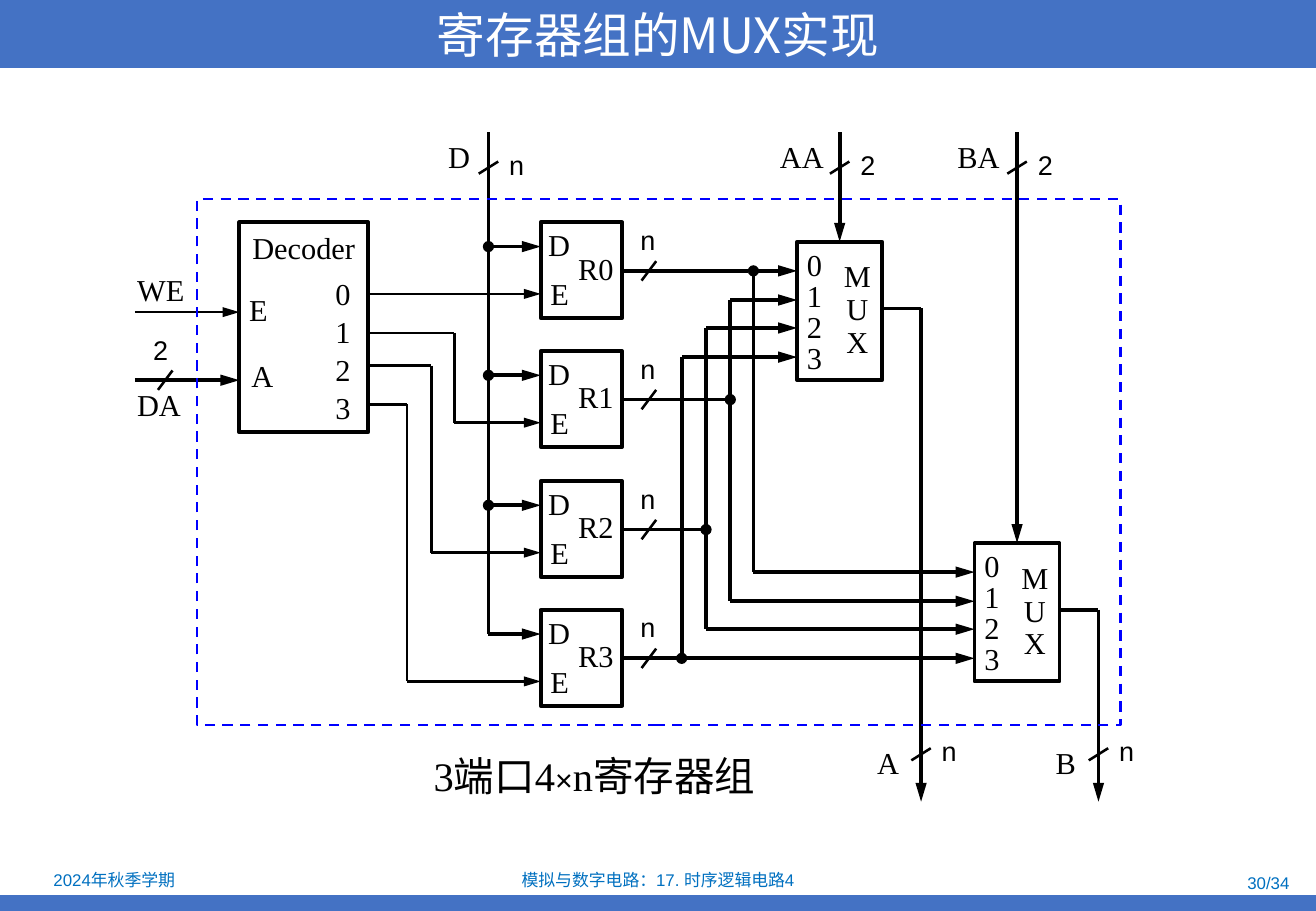
from lxml import etree
from pptx import Presentation, util as u
from pptx.dml.color import RGBColor
from pptx.enum import dml, shapes, text as t
from pptx.oxml.ns import qn

EMU_PER_PX = 9144  # 100 px to the inch
COLORS = {"bar": "4472C4", "footer": "0070C0", "ink": "000000",
          "paper": "FFFFFF", "boundary": "0000FF"}
SERIF, SANS, CJK = "Times New Roman", "Arial", "Noto Sans CJK SC"
LEFT, CENTER, RIGHT = t.PP_ALIGN.LEFT, t.PP_ALIGN.CENTER, t.PP_ALIGN.RIGHT
TOP, MIDDLE = t.MSO_ANCHOR.TOP, t.MSO_ANCHOR.MIDDLE


def px(value):
    return u.Emu(value * EMU_PER_PX)


def rgb(name):
    return RGBColor.from_string(COLORS[name])


def write(frame, text, size=18, font=SERIF, color="ink", align=LEFT, anchor=MIDDLE,
          spacing=1.0, insets=(0, 0, 0, 0), wrap=False):
    """Fill a frame; each line of text is a paragraph, a list holds (text, size, font) runs."""
    frame.auto_size = t.MSO_AUTO_SIZE.NONE
    frame.word_wrap = wrap
    frame.vertical_anchor = anchor
    (frame.margin_left, frame.margin_top,
     frame.margin_right, frame.margin_bottom) = map(px, insets)
    lines = [[(line, size, font)] for line in text.split("\n")] if isinstance(text, str) else [text]
    for index, runs in enumerate(lines):
        paragraph = frame.add_paragraph() if index else frame.paragraphs[0]
        paragraph.alignment = align
        paragraph.line_spacing = spacing
        for words, run_size, run_font in runs:
            run = paragraph.add_run()
            run.text = words
            run.font.size = u.Pt(run_size)
            run.font.name = run_font
            run.font.color.rgb = rgb(color)
            etree.SubElement(run.font._element, qn("a:ea"), typeface=CJK)


class Diagram:
    def __init__(self, presentation):
        self.slide = presentation.slides.add_slide(presentation.slide_layouts[5])

    def title(self, words, *box):
        shape = self.slide.shapes.title
        shape.left, shape.top, shape.width, shape.height = map(px, box)
        shape.fill.solid()
        shape.fill.fore_color.rgb = rgb("bar")
        write(shape.text_frame, words, size=28.8, font=CJK, color="paper",
              align=CENTER, wrap=True)

    def label(self, words, *box, **style):
        shape = self.slide.shapes.add_textbox(*map(px, box))
        write(shape.text_frame, words, **style)

    def signal(self, words, left, top, width):
        self.label(words, left, top, width, 40, insets=(10, 5, 10, 5), anchor=TOP)

    def bar(self, *box):
        shape = self.slide.shapes.add_shape(shapes.MSO_SHAPE.RECTANGLE, *map(px, box))
        shape.shadow.inherit = False
        shape.fill.solid()
        shape.fill.fore_color.rgb = rgb("bar")
        shape.line.fill.background()

    def block(self, words, *box, color="ink", weight=2.25, dashed=False, **style):
        shape = self.slide.shapes.add_shape(shapes.MSO_SHAPE.RECTANGLE, *map(px, box))
        shape.shadow.inherit = False
        shape.fill.background()
        shape.line.color.rgb = rgb(color)
        shape.line.width = u.Pt(weight)
        if dashed:
            shape.line.dash_style = dml.MSO_LINE.DASH
        if words:
            write(shape.text_frame, words, **style)

    def wire(self, *points, weight=2.25, head=None, tail=None):
        """Join the points with straight lines; head and tail mark the two ends."""
        last = len(points) - 2
        for index, (start, end) in enumerate(zip(points, points[1:])):
            line = self.slide.shapes.add_connector(
                shapes.MSO_CONNECTOR.STRAIGHT, *map(px, start + end))
            line.line.color.rgb = rgb("ink")
            line.line.width = u.Pt(weight)
            etree.SubElement(line._element.spPr, qn("a:effectLst"))
            outline = line.line._get_or_add_ln()
            for tag, kind, here in (("a:headEnd", head, index == 0),
                                    ("a:tailEnd", tail, index == last)):
                if kind and here:
                    length = "lg" if kind == "triangle" else "med"
                    etree.SubElement(outline, qn(tag), type=kind, w="med", len=length)

    def width_mark(self, words, x, y, left, top, reach=(8, 5)):
        """Slash across a bus at (x, y), with the bus width beside it."""
        dx, dy = reach
        self.wire((x + dx, y - dy), (x - dx, y + dy), weight=1.5)
        self.label(words, left, top, 12, 24, size=16, font=SANS, anchor=TOP, spacing=0.9)


def main():
    presentation = Presentation()
    presentation.slide_width, presentation.slide_height = px(1083), px(750)
    diagram = Diagram(presentation)

    # Title and footer
    diagram.title("寄存器组的MUX实现", 0, 0, 1083, 56)
    diagram.bar(0, 737, 1083, 13)
    for words, left, top, width, align in (
            ("2024年秋季学期", 2, 714, 184, CENTER),
            ("模拟与数字电路：17. 时序逻辑电路4", 370, 714, 343, CENTER),
            ("30/34", 818, 716, 253, RIGHT)):
        diagram.label(words, left, top, width, 21, size=10, font=SANS, color="footer",
                      align=align, insets=(10, 0, 10, 0), wrap=True)

    # Decoder with its inputs
    diagram.block("Decoder", 197, 183, 106, 173, align=CENTER, anchor=TOP, insets=(0, 6, 0, 0))
    diagram.label("0\n1\n2\n3", 276, 228, 12, 120, spacing=1.04)
    diagram.label("E", 205, 244, 15, 26, spacing=0.85)
    diagram.signal("A", 197, 289, 38)
    diagram.signal("WE", 103, 218, 59)
    diagram.signal("DA", 103, 313, 56)
    diagram.wire((111, 257), (197, 257), weight=1.5, tail="triangle")
    diagram.wire((111, 313), (197, 313), tail="triangle")
    diagram.width_mark("2", 136, 313, 126, 278, reach=(6, 8))

    # Multiplexers
    mux_a, mux_b = (656, 199), (802, 447)
    for left, top in (mux_a, mux_b):
        diagram.block("M\nU\nX", left, top, 70, 114, align=CENTER, spacing=0.9,
                      insets=(39, 0, 10, 0))
        diagram.label("0\n1\n2\n3", left + 8, top + 8, 12, 102, spacing=0.85)
        diagram.wire((left + 35, 109), (left + 35, top), tail="triangle")
        diagram.wire((left + 70, top + 55), (left + 102, top + 55), (left + 102, 660),
                     tail="triangle")

    # Registers, each wired to the decoder, the data bus and both multiplexers
    data_x, register_x = 402, 445
    enable_y = (242, 274, 301, 333)
    enable_x = (374, 374, 355, 335)
    bus_x = (620, 601, 581, 561)
    diagram.wire((data_x, 109), (data_x, 522))
    for i in range(4):
        top = round(183 + 106.4 * i)
        data, output, enable = top + 20, top + 40, top + 59
        diagram.block(f"R{i}", register_x, top, 67, 79, align=RIGHT, spacing=0.9,
                      insets=(0, 0, 7, 0))
        diagram.label("D", 451, top + 8, 18, 26, spacing=0.85)
        diagram.label("E", 453, top + 48, 15, 26, spacing=0.85)
        diagram.wire((data_x, data), (register_x, data),
                     head="oval" if i < 3 else None, tail="triangle")
        bend = [(enable_x[i], enable_y[i]), (enable_x[i], enable)] if i else []
        diagram.wire((304, enable_y[i]), *bend, (register_x, enable),
                     weight=1.5, tail="triangle")
        diagram.wire((512, output), (bus_x[i], output), tail="oval")
        diagram.width_mark("n", 534, output, 527, top + 4, reach=(6, 8))
        input_a, input_b = (y + 24 + round(23.7 * i) for y in (mux_a[1], mux_b[1]))
        diagram.wire((mux_a[0], input_a), (bus_x[i], input_a), (bus_x[i], input_b),
                     (mux_b[0], input_b), head="triangle", tail="triangle")

    # Boundary and outer signals
    diagram.block("", 162, 164, 760, 433, color="boundary", weight=1.5, dashed=True)
    for name, left, top, width, bits, x in (
            ("D", 359, 109, 38, "n", data_x), ("AA", 632, 109, 56, "2", 691),
            ("BA", 778, 109, 55, "2", 837), ("A", 712, 608, 38, "n", 758),
            ("B", 859, 608, 37, "n", 904)):
        diagram.signal(name, left, top, width)
        y = 138 if top < 164 else 621
        diagram.width_mark(bits, x, y, x + 17, y - 13)

    # Caption
    diagram.label([("3端口4", 24, SERIF), ("×", 18, SANS), ("n寄存器组", 24, SERIF)],
                  347, 613, 295, 50, anchor=TOP, insets=(10, 5, 10, 5), wrap=True)

    presentation.save("out.pptx")


if __name__ == "__main__":
    main()
